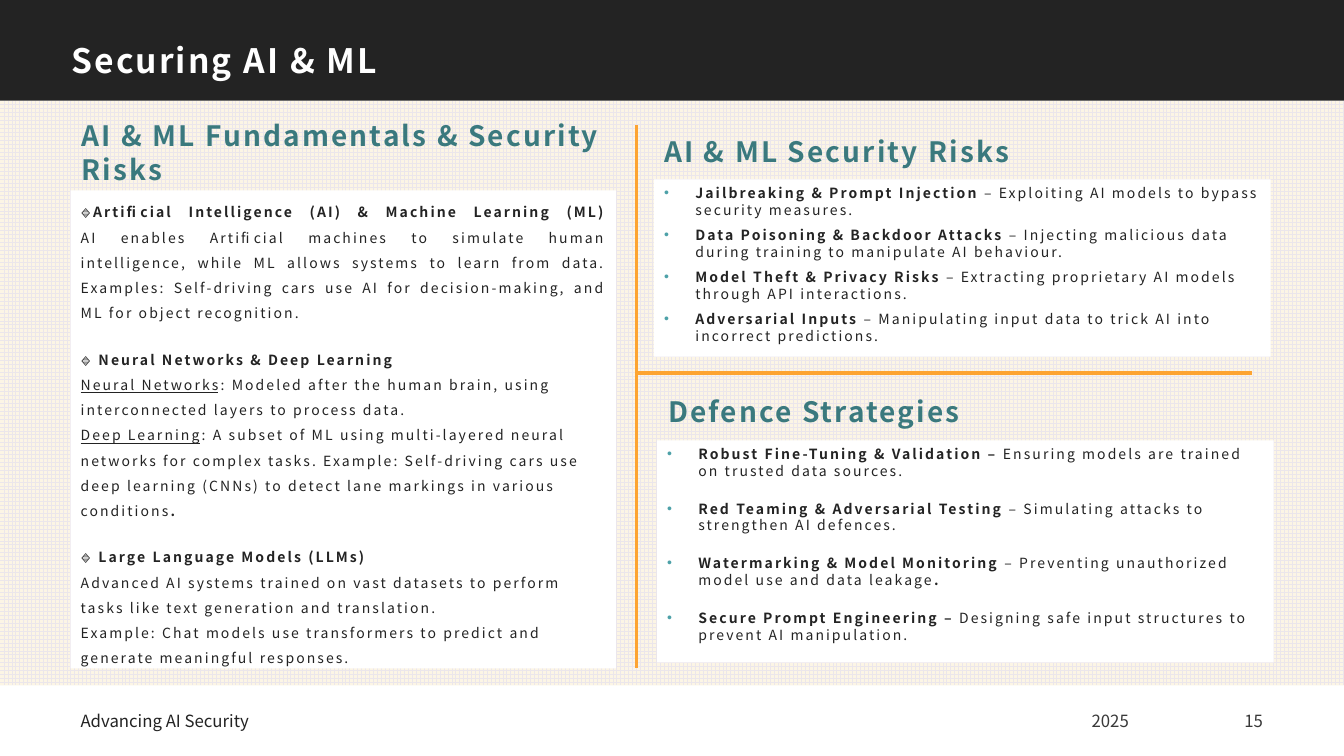
import copy

import pptx
import pptx.dml.color
import pptx.enum.dml
import pptx.enum.shapes
import pptx.enum.text
import pptx.oxml.ns
import pptx.util
from lxml import etree

Cm, Pt = pptx.util.Cm, pptx.util.Pt
RGB = pptx.dml.color.RGBColor.from_string
ALIGN = pptx.enum.text.PP_ALIGN
ANCHOR = pptx.enum.text.MSO_ANCHOR
qn = pptx.oxml.ns.qn

FONT = "Noto Sans CJK JP"
COLORS = {
    "ink": "232323", "grey": "393939", "white": "FFFFFF", "teal": "3A797E",
    "bullet": "4DA1A8", "rule": "FDA431", "grid": "EBE6EB", "cream": "FCF5E5",
}


def place(box, left, top, width, height, fill=None):
    box.left, box.top, box.width, box.height = Cm(left), Cm(top), Cm(width), Cm(height)
    if fill:
        box.fill.solid()
        box.fill.fore_color.rgb = RGB(COLORS[fill])


def write(box, paragraphs, size, color, spacing=1.0, before=0, bullet=False,
          align=ALIGN.LEFT, anchor=ANCHOR.TOP, tracking=150):
    """Each paragraph is a list of (style, text); style holds b and u, a final \\n breaks the line."""
    frame = box.text_frame
    frame.word_wrap = True
    frame.auto_size = pptx.enum.text.MSO_AUTO_SIZE.NONE
    frame.vertical_anchor = anchor
    for index, pieces in enumerate(paragraphs):
        para = frame.add_paragraph() if index else frame.paragraphs[0]
        para.alignment = align
        para.line_spacing = spacing
        para.space_before = Pt(before if index else 0)
        para.space_after = Pt(0)

        # Bullet and indent
        settings = para._p.get_or_add_pPr()
        indent = Cm(0.79) if bullet else 0
        settings.set("marL", str(indent))
        settings.set("indent", str(-indent))
        if bullet:
            tint = etree.SubElement(settings, qn("a:buClr"))
            etree.SubElement(tint, qn("a:srgbClr"), val=COLORS["bullet"])
            etree.SubElement(settings, qn("a:buFont"), typeface="Arial")
            etree.SubElement(settings, qn("a:buChar"), char="•")
        else:
            etree.SubElement(settings, qn("a:buNone"))

        # Runs, with line breaks in the same size
        for style, text in pieces:
            span = para.add_run()
            span.text = text.rstrip("\n")
            span.font.name = FONT
            span.font.size = Pt(size)
            span.font.bold = "b" in style
            span.font.underline = True if "u" in style else None
            span.font.color.rgb = RGB(COLORS[color])
            look = span._r.get_or_add_rPr()
            look.set("spc", str(tracking))
            if text.endswith("\n"):
                para.add_line_break()
                para._p.findall(qn("a:br"))[-1].append(copy.deepcopy(look))


deck = pptx.Presentation()
deck.slide_width, deck.slide_height = Cm(33.87), Cm(19.05)
page = deck.slides.add_slide(deck.slide_layouts.get_by_name("Comparison"))
shapes = page.shapes
title, left_heading, left_text, risk_heading, risk_list = page.placeholders

# Backdrop: patterned area and dark title band, behind the placeholders
RECTANGLE = pptx.enum.shapes.MSO_SHAPE.RECTANGLE
backdrop = shapes.add_shape(RECTANGLE, 0, Cm(2.54), deck.slide_width, Cm(14.73))
backdrop.fill.patterned()
backdrop.fill.pattern = pptx.enum.dml.MSO_PATTERN.LARGE_GRID
backdrop.fill.fore_color.rgb = RGB(COLORS["grid"])
backdrop.fill.back_color.rgb = RGB(COLORS["cream"])
band = shapes.add_shape(RECTANGLE, 0, 0, deck.slide_width, Cm(2.54))
band.fill.solid()
band.fill.fore_color.rgb = RGB(COLORS["ink"])
for position, panel in enumerate((backdrop, band), start=2):
    panel.shadow.inherit = False
    panel.line.fill.background()
    shapes._spTree.insert(position, panel._element)

# Title
place(title, 1.5, 0.61, 14.05, 1.88)
write(title, [[("b", "Securing AI & ML")]], 24, "white", spacing=0.9, anchor=ANCHOR.MIDDLE)
title.text_frame.margin_left = title.text_frame.margin_right = Cm(0.3)
title.text_frame.margin_top, title.text_frame.margin_bottom = Cm(0.3), Cm(0.25)

# Headings
defence_heading = shapes.add_textbox(0, 0, 0, 0)
for heading, text, spot, spacing in (
    (left_heading, "AI & ML Fundamentals & Security Risks", (1.8, 2.87, 13.74, 1.88), 1.0),
    (risk_heading, "AI & ML Security Risks", (16.48, 2.84, 15.52, 1.3), 1.5),
    (defence_heading, "Defence Strategies", (16.59, 9.4, 15.52, 1.3), 1.5),
):
    place(heading, *spot)
    write(heading, [[("b", text)]], 20, "teal", spacing=spacing)

# Fundamentals
place(left_text, 1.78, 4.8, 13.74, 12.04, "white")
write(left_text, [
    [("b", "🔹Artificial Intelligence (AI) & Machine Learning (ML)\n"),
     ("", "AI enables Artificial machines to simulate human intelligence, while ML allows "
          "systems to learn from data. Examples: Self-driving cars use AI for "
          "decision-making, and ML for object recognition.")],
    [("b", "🔹 Neural Networks & Deep Learning\n"),
     ("u", "Neural Networks"),
     ("", ": Modeled after the human brain, using interconnected layers to process data.\n"),
     ("u", "Deep Learning"),
     ("", ": A subset of ML using multi-layered neural networks for complex tasks. Example: "
          "Self-driving cars use deep learning (CNNs) to detect lane markings in various "
          "conditions"),
     ("b", ".")],
    [("b", "🔹 Large Language Models (LLMs)\n"),
     ("", "Advanced AI systems trained on vast datasets to perform tasks like text "
          "generation and translation.\n"),
     ("", "Example: Chat models use transformers to predict and generate meaningful "
          "responses.")],
], 10, "ink", spacing=1.5, before=15)
left_text.text_frame.paragraphs[0].alignment = ALIGN.JUSTIFY

# Security risks
place(risk_list, 16.48, 4.52, 15.54, 4.47, "white")
write(risk_list, [
    [("b", "Jailbreaking & Prompt Injection "),
     ("", "– Exploiting AI models to bypass security measures.")],
    [("b", "Data Poisoning & Backdoor Attacks"),
     ("", " – Injecting malicious data during training to manipulate AI behaviour.")],
    [("b", "Model Theft & Privacy Risks"),
     ("", " – Extracting proprietary AI models through API interactions.")],
    [("b", "Adversarial Inputs "),
     ("", "– Manipulating input data to trick AI into incorrect predictions.")],
], 10, "ink", before=6, bullet=True)

# Defence strategies
defence_list = shapes.add_textbox(0, 0, 0, 0)
place(defence_list, 16.56, 11.1, 15.54, 5.59, "white")
write(defence_list, [
    [("b", "Robust Fine-Tuning & Validation – "),
     ("", "Ensuring models are trained on trusted data sources.")],
    [("b", "Red Teaming & Adversarial Testing "),
     ("", "– Simulating attacks to strengthen AI defences.")],
    [("b", "Watermarking & Model Monitoring "),
     ("", "– Preventing unauthorized model use and data leakage"),
     ("b", ".")],
    [("b", "Secure Prompt Engineering – "),
     ("", "Designing safe input structures to prevent AI manipulation.")],
], 10, "ink", before=15, bullet=True)

# Footer
for text, left, width, color, align in (
    ("Advancing AI Security", 1.78, 17.48, "ink", ALIGN.LEFT),
    ("2025", 20.27, 8.43, "grey", ALIGN.RIGHT),
    ("15", 29.74, 2.34, "grey", ALIGN.RIGHT),
):
    footer = shapes.add_textbox(Cm(left), Cm(17.65), Cm(width), Cm(1.02))
    write(footer, [[("", text)]], 12, color, align=align, anchor=ANCHOR.MIDDLE, tracking=0)

# Dividers
for ends in ((16.03, 3.15, 16.03, 16.84), (16.03, 9.4, 31.55, 9.4)):
    divider = shapes.add_connector(
        pptx.enum.shapes.MSO_CONNECTOR.STRAIGHT, *(Cm(value) for value in ends))
    divider.line.color.rgb = RGB(COLORS["rule"])
    divider.line.width = Pt(2.25)
    etree.SubElement(divider._element.spPr, qn("a:effectLst"))

deck.save("out.pptx")
